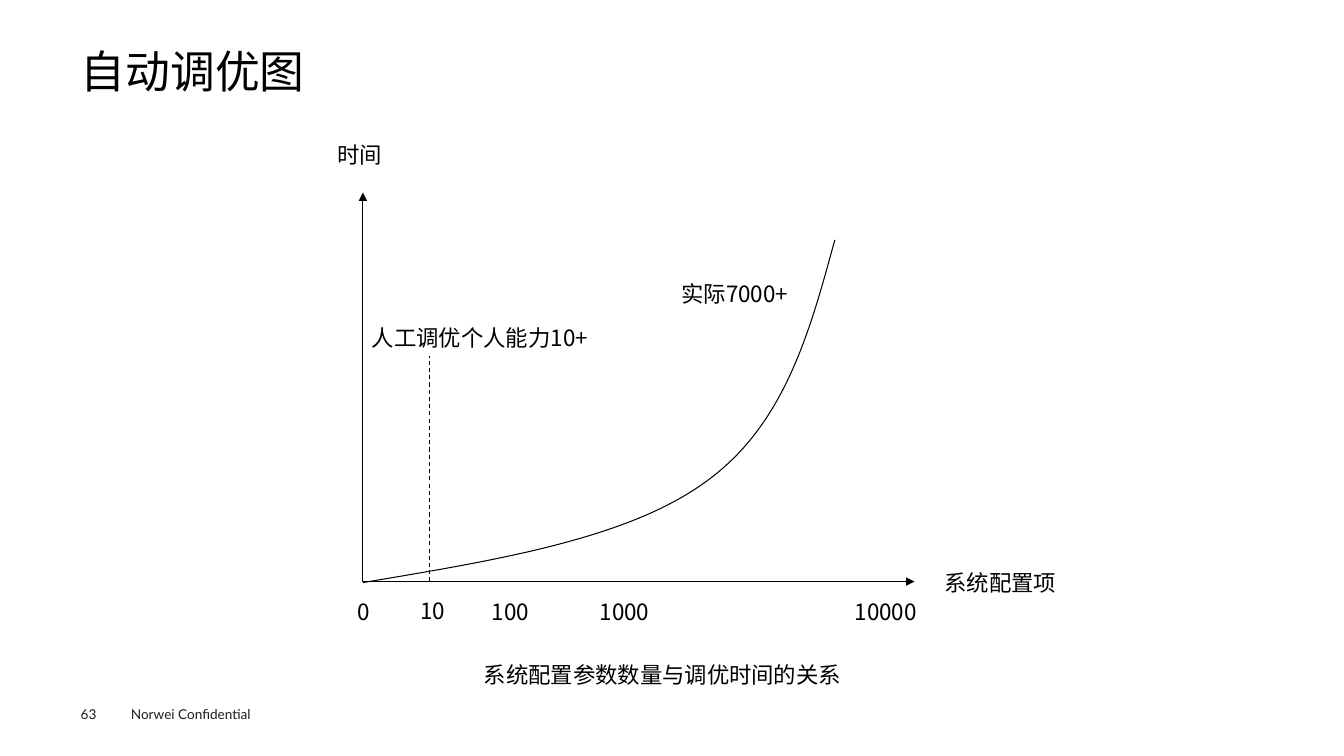
from dataclasses import dataclass

from lxml import etree
from pptx import Presentation
from pptx import util as u
from pptx.dml import color as clr
from pptx.enum import dml, shapes, text as txt
from pptx.oxml import ns

COLORS = {"ink": "000000", "footer": "1D1D1B"}
CJK = "Noto Sans CJK SC"
LATIN = "Lato"
ORIGIN_X, ORIGIN_Y = 3.6, 5.77
LINE_WIDTH = 0.75
CURVE_STEPS = 40

Point = tuple[float, float]


@dataclass(frozen=True)
class Label:
    words: str
    left: float
    top: float
    width: float
    height: float = 0.37


@dataclass(frozen=True)
class Rule:
    end: Point
    start: Point = (ORIGIN_X, ORIGIN_Y)
    arrow: bool = False
    dashed: bool = False


@dataclass(frozen=True)
class Bezier:
    start: Point
    first_control: Point
    second_control: Point
    end: Point

    def at(self, t: float) -> Point:
        weights = ((1 - t) ** 3, 3 * t * (1 - t) ** 2, 3 * t**2 * (1 - t), t**3)
        knots = (self.start, self.first_control, self.second_control, self.end)
        return (
            sum(w * x for w, (x, _) in zip(weights, knots)),
            sum(w * y for w, (_, y) in zip(weights, knots)),
        )


TITLE = Label("自动调优图", 0.8, 0.49, 11.73, 0.54)
PAGE_NUMBER = Label("63", 0.8, 7, 0.55, 0.16)
CONFIDENTIALITY = Label("Norwei Confidential", 1.2, 6.95, 1.6, 0.27)

CHART_LABELS = [
    Label("0", 3.45, 5.88, 0.33),
    Label("10", 4.07, 5.87, 0.51),
    Label("100", 4.78, 5.75, 0.58, 0.64),
    Label("1000", 5.85, 5.88, 0.73),
    Label("10000", 8.38, 5.88, 0.93),
    Label("系统配置项", 9.27, 5.59, 1.38),
    Label("时间", 3.25, 1.35, 0.69),
    Label("人工调优个人能力10+", 3.59, 3.16, 2.44),
    Label("实际7000+", 6.66, 2.59, 1.31, 0.64),
    Label("系统配置参数数量与调优时间的关系", 4.7, 6.51, 3.78),
]

RULES = [
    Rule(end=(9.07, ORIGIN_Y), arrow=True),
    Rule(end=(ORIGIN_X, 1.91), arrow=True),
    Rule(start=(4.26, ORIGIN_Y), end=(4.26, 3.53), dashed=True),
]

TUNING_TIME = [
    Bezier((ORIGIN_X, 5.78), (4.91, 5.56), (6.22, 5.35), (7, 4.78)),
    Bezier((7, 4.78), (7.78, 4.22), (8.03, 3.3), (8.28, 2.38)),
]


def add_label(slide, label: Label, *, size: float = 16, font: str = CJK,
              color: str = "ink", anchor=txt.MSO_ANCHOR.MIDDLE,
              inset: bool = True, spacing: float | None = None) -> None:
    box = slide.shapes.add_textbox(
        *map(u.Inches, (label.left, label.top, label.width, label.height)))
    frame = box.text_frame
    frame.word_wrap = True
    frame.vertical_anchor = anchor
    if not inset:
        frame.margin_left = frame.margin_right = 0
        frame.margin_top = frame.margin_bottom = 0
    paragraph = frame.paragraphs[0]
    if spacing is not None:
        paragraph.line_spacing = spacing
    run = paragraph.add_run()
    run.text = label.words
    run.font.size = u.Pt(size)
    run.font.name = font
    run.font.color.rgb = clr.RGBColor.from_string(COLORS[color])
    east_asian = etree.SubElement(run.font._element, ns.qn("a:ea"))
    east_asian.set("typeface", font)


def style_line(line) -> None:
    line.width = u.Pt(LINE_WIDTH)
    line.color.rgb = clr.RGBColor.from_string(COLORS["ink"])


def add_rule(slide, rule: Rule) -> None:
    connector = slide.shapes.add_connector(
        shapes.MSO_CONNECTOR.STRAIGHT,
        *map(u.Inches, (*rule.start, *rule.end)))
    style_line(connector.line)
    if rule.dashed:
        connector.line.dash_style = dml.MSO_LINE.DASH
    properties = connector._element.spPr
    if rule.arrow:
        head = etree.SubElement(properties.find(ns.qn("a:ln")), ns.qn("a:tailEnd"))
        head.set("type", "triangle")
    etree.SubElement(properties, ns.qn("a:effectLst"))


def add_curve(slide, pieces: list[Bezier]) -> None:
    points = [piece.at(step / CURVE_STEPS)
              for piece in pieces for step in range(1, CURVE_STEPS + 1)]
    builder = slide.shapes.build_freeform(*map(u.Inches, pieces[0].start))
    builder.add_line_segments(
        [(u.Inches(x), u.Inches(y)) for x, y in points], close=False)
    curve = builder.convert_to_shape()
    curve.shadow.inherit = False
    curve.fill.background()
    style_line(curve.line)


def main() -> None:
    deck = Presentation()
    deck.slide_width, deck.slide_height = u.Inches(13.33), u.Inches(7.5)
    slide = deck.slides.add_slide(deck.slide_layouts[6])

    for footer, inset in ((CONFIDENTIALITY, True), (PAGE_NUMBER, False)):
        add_label(slide, footer, size=9.7, font=LATIN, color="footer",
                  anchor=txt.MSO_ANCHOR.TOP, inset=inset)
    add_label(slide, TITLE, size=32, anchor=txt.MSO_ANCHOR.TOP,
              inset=False, spacing=0.9)
    for rule in RULES:
        add_rule(slide, rule)
    add_curve(slide, TUNING_TIME)
    for label in CHART_LABELS:
        add_label(slide, label)

    deck.save("out.pptx")


if __name__ == "__main__":
    main()
